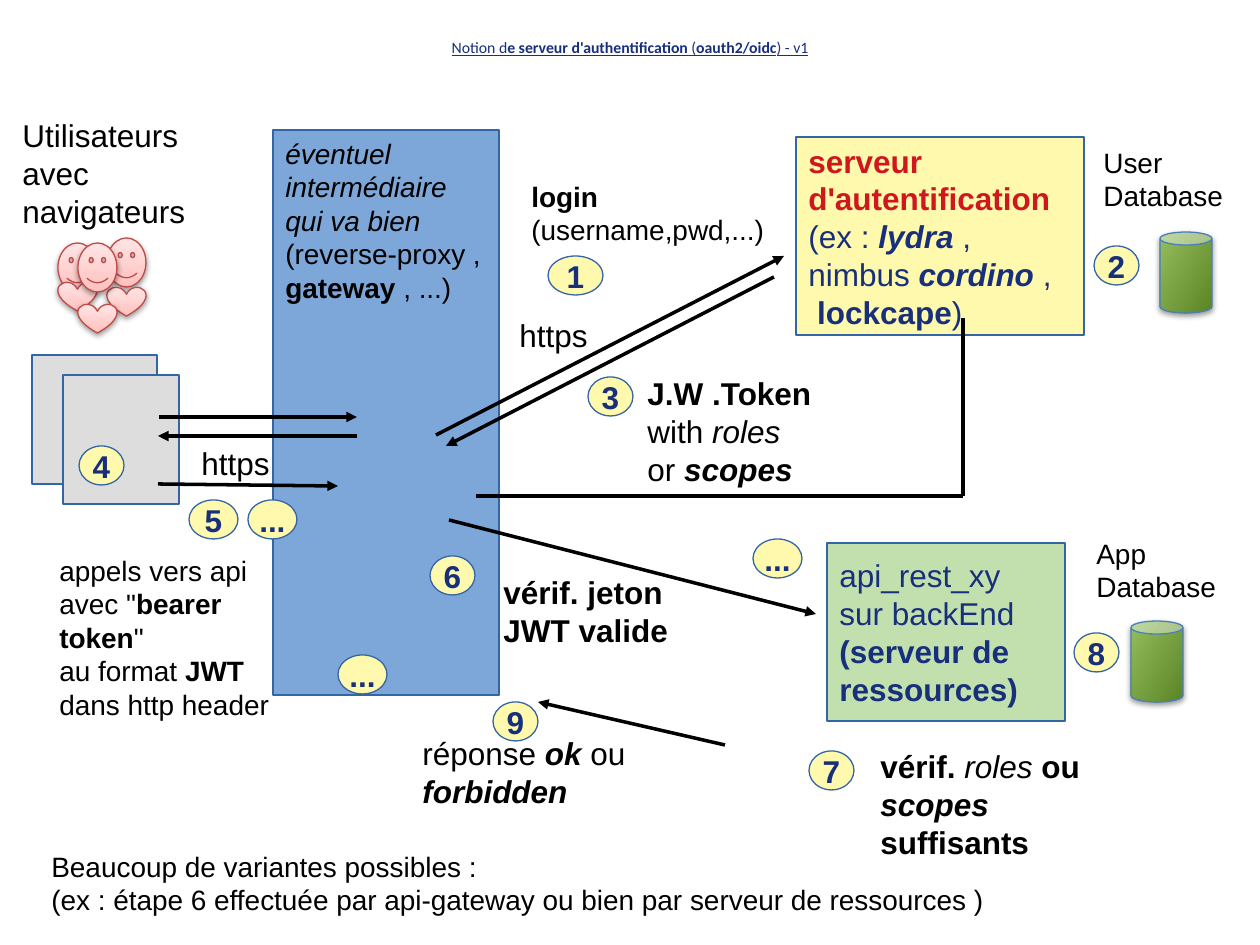
import pptx
import pptx.util
import pptx.dml.color
import pptx.enum.shapes
import pptx.enum.text
import pptx.oxml
import pptx.oxml.ns

SCALE = 914400 / 126
SHAPES = pptx.enum.shapes.MSO_SHAPE
ALIGN = pptx.enum.text.PP_ALIGN
ANCHOR = pptx.enum.text.MSO_ANCHOR
COLORS = {
    "ink": "000000", "navy": "182F7C", "red": "CE181E", "edge": "3465A4",
    "blue": "7DA7D8", "yellow": "FFF9AE", "green": "C2E0AE", "gray": "DDDDDD",
    "pink_dark": "FFC1BE", "pink_light": "FFE5E5", "pink_edge": "BE4B48",
    "can_light": "94BD5E", "can_dark": "5C8526", "can_edge": "4A7EBB",
}


def px(value):
    return pptx.util.Emu(round(value * SCALE))


def rgb(name):
    return pptx.dml.color.RGBColor.from_string(COLORS[name])


def set_style(font, style):
    font.bold = "b" in style
    font.italic = "i" in style
    if "u" in style:
        font.underline = True


def write(frame, lines, size, color="ink", align=ALIGN.LEFT, anchor=ANCHOR.TOP,
          wrap=True, face="Arial"):
    frame.word_wrap = wrap
    frame.auto_size = pptx.enum.text.MSO_AUTO_SIZE.NONE
    frame.vertical_anchor = anchor
    for index, line in enumerate(lines):
        para = frame.paragraphs[0] if index == 0 else frame.add_paragraph()
        para.alignment = align
        para.font.name = face
        para.font.size = pptx.util.Pt(size)
        para.font.color.rgb = rgb(color)
        spans = [(line, "")] if isinstance(line, str) else line
        styles = {style for text, style in spans}
        if len(styles) == 1:
            set_style(para.font, spans[0][1])
        for text, style in spans:
            span = para.add_run()
            span.text = text
            if len(styles) > 1:
                set_style(span.font, style)


def add_title(page, spans):
    title = page.shapes.title
    title.left, title.top, title.width, title.height = map(px, (63, 16, 1134, 63))
    write(title.text_frame, [spans], 9, "navy", ALIGN.CENTER, ANCHOR.MIDDLE, face="Calibri")


def add_label(page, place, size, lines):
    box = page.shapes.add_textbox(*map(px, place))
    write(box.text_frame, lines, size)


def add_block(page, place, fill, kind=SHAPES.RECTANGLE):
    block = page.shapes.add_shape(kind, *map(px, place))
    block.shadow.inherit = False
    block.fill.solid()
    block.fill.fore_color.rgb = rgb(fill)
    block.line.color.rgb = rgb("edge")
    block.line.width = 0
    return block


def add_badge(page, text, left, top, width):
    badge = add_block(page, (left, top, width, 39), "yellow", SHAPES.OVAL)
    write(badge.text_frame, [[(text, "b")]], 18, "navy", ALIGN.CENTER, ANCHOR.MIDDLE, False)


def add_glossy(page, kind, place, stops, angle, edge, adjust=None):
    shape = page.shapes.add_shape(kind, *map(px, place))
    if adjust is not None:
        shape.adjustments[0] = adjust
    shape.fill.gradient()
    shape.fill.gradient_angle = angle
    for stop, name, position in zip(shape.fill.gradient_stops, stops, (0, 1)):
        stop.color.rgb = rgb(name)
        stop.position = position
    shape.line.color.rgb = rgb(edge)
    shape.line.width = pptx.util.Pt(0.75)
    shape.shadow.inherit = False
    effects = shape._element.spPr.find(pptx.oxml.ns.qn("a:effectLst"))
    effects.append(pptx.oxml.parse_xml(
        f'<a:outerShdw {pptx.oxml.ns.nsdecls("a")} blurRad="40000" dist="20000" '
        'dir="5400000" rotWithShape="0"><a:srgbClr val="000000">'
        '<a:alpha val="38000"/></a:srgbClr></a:outerShdw>'))


def add_user(page, left, face_top, heart_top):
    pinks = ("pink_dark", "pink_light")
    add_glossy(page, SHAPES.SMILEY_FACE, (left, face_top, 39, 49), pinks, 90, "pink_edge", 0.047)
    add_glossy(page, SHAPES.HEART, (left, heart_top, 39, 29), pinks, 90, "pink_edge")


def add_database(page, left, top):
    add_glossy(page, SHAPES.CAN, (left, top, 52, 81), ("can_light", "can_dark"),
               330, "can_edge", 0.25)


def add_line(page, ends, arrow=True):
    line = page.shapes.add_connector(pptx.enum.shapes.MSO_CONNECTOR.STRAIGHT, *map(px, ends))
    line.line.color.rgb = rgb("ink")
    line.line.width = 0
    namespace = pptx.oxml.ns.nsdecls("a")
    if arrow:
        line.line._get_or_add_ln().append(
            pptx.oxml.parse_xml(f'<a:tailEnd {namespace} type="triangle"/>'))
    line._element.spPr.append(pptx.oxml.parse_xml(f"<a:effectLst {namespace}/>"))


def add_servers(page):
    for place in ((32, 355, 125, 129), (63, 375, 116, 129)):
        add_block(page, place, "gray")
    gateway = add_block(page, (273, 130, 226, 565), "blue")
    write(gateway.text_frame, [[
        ("éventuel intermédiaire qui va bien", "i"), (" (reverse-proxy , ", ""),
        ("gateway", "b"), (" , ...)", "")]], 16)
    login = add_block(page, (796, 137, 288, 198), "yellow")
    write(login.text_frame, [
        [("serveur", "b")], [("d'autentification", "b")],
        [("(ex : ", ""), ("lydra", "bi"), (" ,", "")],
        [("nimbus ", ""), ("cordino", "bi"), (" ,", "")],
        [(" ", ""), ("lockcape", "b"), (")", "")]], 18, "navy", anchor=ANCHOR.MIDDLE, wrap=False)
    for para in login.text_frame.paragraphs[:2]:
        para.font.color.rgb = rgb("red")
    backend = add_block(page, (827, 543, 238, 178), "green")
    write(backend.text_frame, [
        "api_rest_xy", "sur backEnd", [("(serveur de", "b")], [("ressources)", "b")]],
        18, "navy", anchor=ANCHOR.MIDDLE, wrap=False)


def main():
    deck = pptx.Presentation()
    deck.slide_width, deck.slide_height = px(1260), px(945)
    page = deck.slides.add_slide(deck.slide_layouts[5])
    add_title(page, [("Notion d", "u"), ("e serveur d'authentification", "bu"), (" (", "u"),
                     ("oauth2/oidc", "bu"), (") - v1", "u")])

    for user in ((58, 243, 282), (107, 238, 287), (78, 243, 304)):
        add_user(page, *user)
    add_servers(page)
    for corner in ((1160, 232), (1131, 621)):
        add_database(page, *corner)

    for ends in ((357, 436, 158, 436), (436, 435, 784, 256), (774, 277, 446, 446),
                 (159, 417, 357, 417), (449, 520, 816, 614), (725, 745, 538, 702),
                 (158, 484, 338, 486)):
        add_line(page, ends)
    for ends in ((963, 496, 476, 496), (963, 496, 963, 318)):
        add_line(page, ends, arrow=False)

    for badge in (("1", 548, 256, 55), ("2", 1094, 246, 45), ("3", 588, 377, 45),
                  ("4", 79, 446, 45), ("5", 189, 500, 49), ("6", 430, 556, 45),
                  ("7", 809, 751, 45), ("8", 1074, 633, 45), ("9", 493, 702, 45),
                  ("...", 753, 539, 49), ("...", 248, 500, 49), ("...", 338, 655, 49)):
        add_badge(page, *badge)

    labels = (
        ((410, 728, 236, 83), 18, [[("réponse ", ""), ("ok", "bi"), (" ou", "")],
                                   [("forbidden", "bi")]]),
        ((10, 110, 256, 83), 18, ["Utilisateurs", "avec navigateurs"]),
        ((1091, 139, 159, 83), 16, ["User", "Database"]),
        ((1084, 530, 159, 83), 16, ["App", "Database"]),
        ((519, 173, 287, 83), 16, [[("login", "b")], "(username,pwd,...)"]),
        ((635, 368, 198, 118), 18, [[("J.W .Token", "b")], [("with ", ""), ("roles", "i")],
                                    [("or ", ""), ("scopes", "bi")]]),
        ((507, 310, 113, 48), 18, ["https"]),
        ((189, 438, 110, 48), 18, ["https"]),
        ((47, 547, 261, 189), 16, ["appels vers api", [("avec \"", ""), ("bearer", "b")],
                                   [("token", "b"), ("\"", "")],
                                   [("au format ", ""), ("JWT", "b")], "dans http header"]),
        ((491, 567, 193, 83), 18, [[("vérif. jeton", "b")], [("JWT valide", "b")]]),
        ((868, 741, 341, 83), 18, [[("vérif. ", "b"), ("roles", "i"), (" ou", "b")],
                                   [("scopes", "bi")], [("suffisants", "b")]]),
        ((39, 843, 1075, 83), 16, [
            "Beaucoup de variantes possibles :",
            "(ex : étape 6 effectuée par api-gateway ou bien par serveur de ressources )"]),
    )
    for place, size, lines in labels:
        add_label(page, place, size, lines)

    deck.save("out.pptx")


if __name__ == "__main__":
    main()
